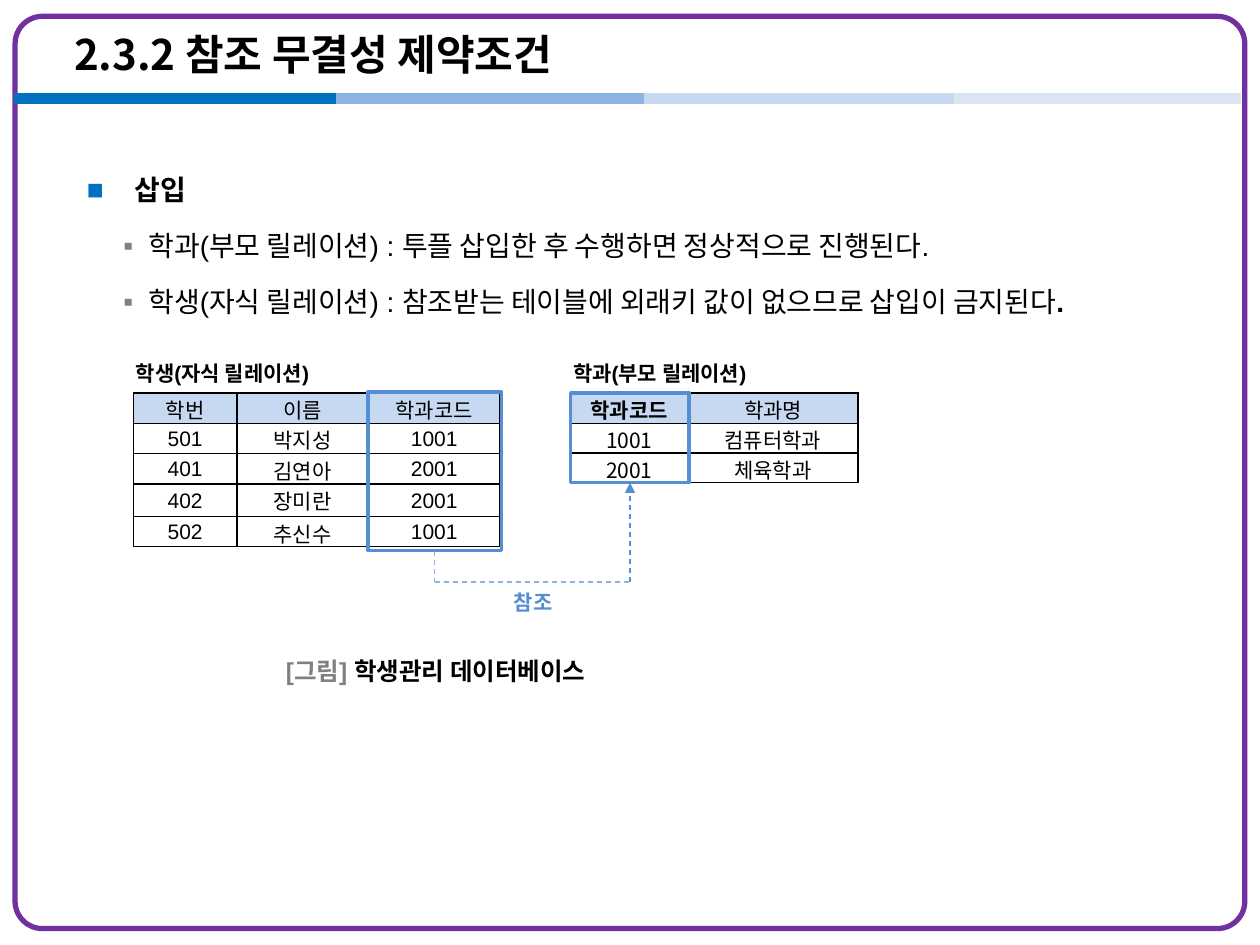
from lxml.etree import SubElement
from pptx import Presentation
from pptx.dml.color import RGBColor
from pptx.enum.dml import MSO_LINE
from pptx.enum.shapes import MSO_CONNECTOR, MSO_SHAPE
from pptx.enum.text import MSO_ANCHOR, PP_ALIGN
from pptx.oxml import parse_xml
from pptx.oxml.ns import nsdecls, qn
from pptx.util import Emu, Inches, Pt

COLORS = {
    "black": "000000", "white": "FFFFFF", "gray": "808080", "frame": "7030A0",
    "strong": "0070C0", "medium": "8EB4E3", "light": "C6D9F1", "pale": "DCE6F2",
    "key": "558ED5",
}
KOREAN = "Noto Sans CJK KR"
LATIN = "Arial"


class SlideBuilder:
    """Draws styled elements on one slide, measured on a grid of 100 columns by 75 rows."""

    def __init__(self, presentation):
        self.slide = presentation.slides.add_slide(presentation.slide_layouts[6])
        self.shapes = self.slide.shapes
        self.column = presentation.slide_width / 100
        self.row = presentation.slide_height / 75

    def place(self, columns, rows):
        return Emu(round(columns * self.column)), Emu(round(rows * self.row))

    def color(self, name):
        return RGBColor.from_string(COLORS[name])

    def run(self, paragraph, text, size, color="black", bold=False, font=LATIN):
        run = paragraph.add_run()
        run.text = text
        run.font.size = Pt(size)
        run.font.bold = bold
        run.font.name = font
        run.font.color.rgb = self.color(color)
        if font == KOREAN:
            SubElement(run.font._element, qn("a:ea"), typeface=font)

    def text(self, left, top, width, height, runs=(), anchor=MSO_ANCHOR.TOP, wrap=True):
        box = self.shapes.add_textbox(*self.place(left, top), *self.place(width, height))
        frame = box.text_frame
        frame.word_wrap = wrap
        frame.vertical_anchor = anchor
        for run in runs:
            self.run(frame.paragraphs[0], **run)
        return frame

    def bullet(self, paragraph, symbol, color, margin, indent):
        paragraph.line_spacing = 1.5
        properties = paragraph._p.get_or_add_pPr()
        properties.set("marL", str(Inches(margin)))
        properties.set("indent", str(Inches(-indent)))
        bullet_color = SubElement(properties, qn("a:buClr"))
        SubElement(bullet_color, qn("a:srgbClr"), val=COLORS[color])
        SubElement(properties, qn("a:buFont"), typeface=LATIN)
        SubElement(properties, qn("a:buChar"), char=symbol)

    def outline(self, kind, left, top, width, height, color, weight):
        shape = self.shapes.add_shape(kind, *self.place(left, top), *self.place(width, height))
        shape.shadow.inherit = False
        shape.fill.background()
        shape.line.color.rgb = self.color(color)
        shape.line.width = Pt(weight)
        return shape

    def line(self, start, end, color, weight, dashed=False, arrow=False):
        connector = self.shapes.add_connector(
            MSO_CONNECTOR.STRAIGHT, *self.place(*start), *self.place(*end))
        connector.line.color.rgb = self.color(color)
        connector.line.width = Pt(weight)
        if dashed:
            connector.line.dash_style = MSO_LINE.DASH
        if arrow:
            SubElement(connector.line._get_or_add_ln(), qn("a:tailEnd"), type="triangle")
        SubElement(connector._element.spPr, qn("a:effectLst"))
        return connector

    def border(self, cell):
        for index, side in enumerate(("lnL", "lnR", "lnT", "lnB")):
            cell._tc.get_or_add_tcPr().insert(index, parse_xml(
                f'<a:{side} {nsdecls("a")} w="12700"><a:solidFill>'
                f'<a:srgbClr val="{COLORS["black"]}"/></a:solidFill></a:{side}>'))

    def table(self, left, top, widths, heights, values, font, body_fill=None, bold_key=False):
        frame = self.shapes.add_table(
            len(heights), len(widths), *self.place(left, top),
            *self.place(sum(widths), sum(heights)))
        table = frame.table
        table.first_row = table.horz_banding = False
        for column, width in zip(table.columns, widths):
            column.width = self.place(width, 0)[0]
        for row, height in zip(table.rows, heights):
            row.height = self.place(0, height)[1]
        for row, texts in enumerate(values):
            for column, text in enumerate(texts):
                cell = table.cell(row, column)
                cell.margin_left = cell.margin_right = cell.margin_top = Inches(0.01)
                cell.margin_bottom = 0
                cell.vertical_anchor = MSO_ANCHOR.MIDDLE
                fill = "light" if row == 0 else body_fill
                if fill:
                    cell.fill.solid()
                    cell.fill.fore_color.rgb = self.color(fill)
                else:
                    cell.fill.background()
                self.border(cell)
                paragraph = cell.text_frame.paragraphs[0]
                paragraph.alignment = PP_ALIGN.CENTER
                self.run(paragraph, text, 12, bold=bold_key and row == column == 0, font=font)


def main():
    presentation = Presentation()
    presentation.slide_width, presentation.slide_height = Inches(10), Inches(7.5)
    builder = SlideBuilder(presentation)

    frame = builder.outline(MSO_SHAPE.ROUNDED_RECTANGLE, 1.2, 1.3, 97.6, 72.4, "frame", 3)
    frame.adjustments[0] = 0.03
    bands = (("strong", 1.1, 26.7), ("medium", 26.7, 52.3),
             ("light", 51.1, 76.7), ("pale", 75.7, 98.5))
    for color, start, end in bands:
        builder.line((start, 7.8), (end, 7.8), color, 6)

    builder.text(4.9, 1.3, 82.7, 6, [dict(
        text="2.3.2 참조 무결성 제약조건", size=24, bold=True, font=KOREAN)], MSO_ANCHOR.MIDDLE)

    body = builder.text(5.9, 11.9, 88.2, 59.8, [dict(text="삽입", size=16, bold=True)])
    builder.bullet(body.paragraphs[0], "■", "strong", 0.38, 0.38)
    rules = (
        [("학과(부모 릴레이션) : 투플 삽입한 후 수행하면 정상적으로 진행된다.", False)],
        [("학생(자식 릴레이션) : 참조받는 테이블에 외래키 값이 없으므로 삽입이 금지된다", False),
         (".", True)],
    )
    for rule in rules:
        paragraph = body.add_paragraph()
        paragraph.level = 1
        paragraph.space_before = Pt(3.2)
        builder.bullet(paragraph, "▪", "gray", 0.49, 0.2)
        for text, bold in rule:
            builder.run(paragraph, text, 16, bold=bold)

    builder.table(10.6, 31.2, (8.2, 10.45, 10.45), (2.4, 2.4, 2.4, 2.6, 2.4), (
        ("학번", "이름", "학과코드"),
        ("501", "박지성", "1001"),
        ("401", "김연아", "2001"),
        ("402", "장미란", "2001"),
        ("502", "추신수", "1001")), LATIN, body_fill="white")
    builder.table(45.3, 31.2, (9.3, 13.5), (2.4, 2.35, 2.35), (
        ("학과코드", "학과명"),
        ("1001", "컴퓨터학과"),
        ("2001", "체육학과")), KOREAN, bold_key=True)
    for left, title in ((9.8, "학생(자식 릴레이션)"), (44.5, "학과(부모 릴레이션)")):
        builder.text(left, 28.1, 17.3, 3, [dict(text=title, size=12, bold=True)], wrap=False)

    child_key = builder.outline(MSO_SHAPE.RECTANGLE, 29.2, 31.1, 10.6, 12.6, "key", 2)
    parent_key = builder.outline(MSO_SHAPE.RECTANGLE, 45.3, 31.2, 9.4, 7.1, "key", 2)
    child_corner, parent_corner = (34.5, 46.2), (50, 46.2)
    departure = builder.line((34.5, 43.7), child_corner, "medium", 0.75, dashed=True)
    departure.begin_connect(child_key, 2)
    builder.line(child_corner, parent_corner, "medium", 0.75, dashed=True)
    arrival = builder.line(parent_corner, (50, 38.3), "key", 0.75, dashed=True, arrow=True)
    arrival.end_connect(parent_key, 2)

    builder.text(39.8, 46.3, 13.8, 3, [dict(
        text="참조", size=12, color="key", bold=True, font=KOREAN)])
    builder.text(21.7, 51.7, 33.9, 3.1, [
        dict(text="[그림] ", size=14, color="gray", bold=True),
        dict(text="학생관리 데이터베이스", size=14, bold=True)], MSO_ANCHOR.MIDDLE, wrap=False)

    presentation.save("out.pptx")


if __name__ == "__main__":
    main()
